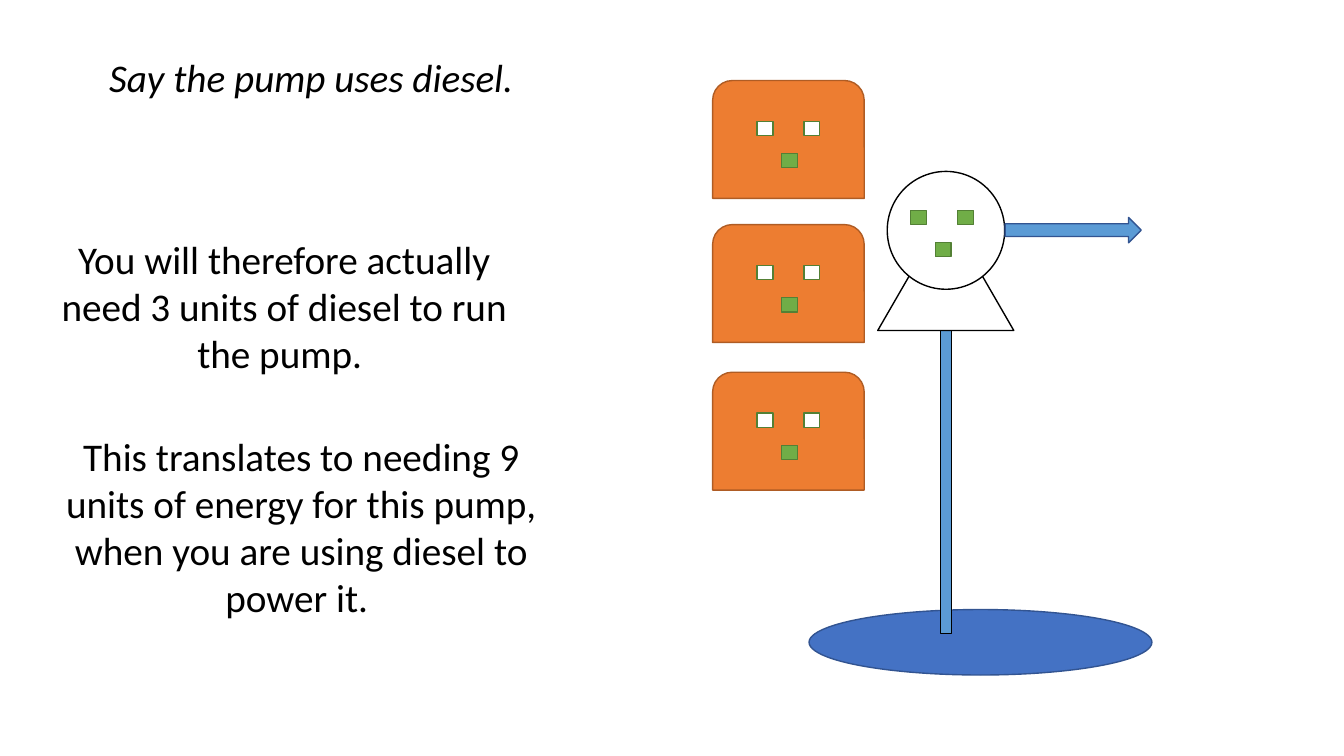
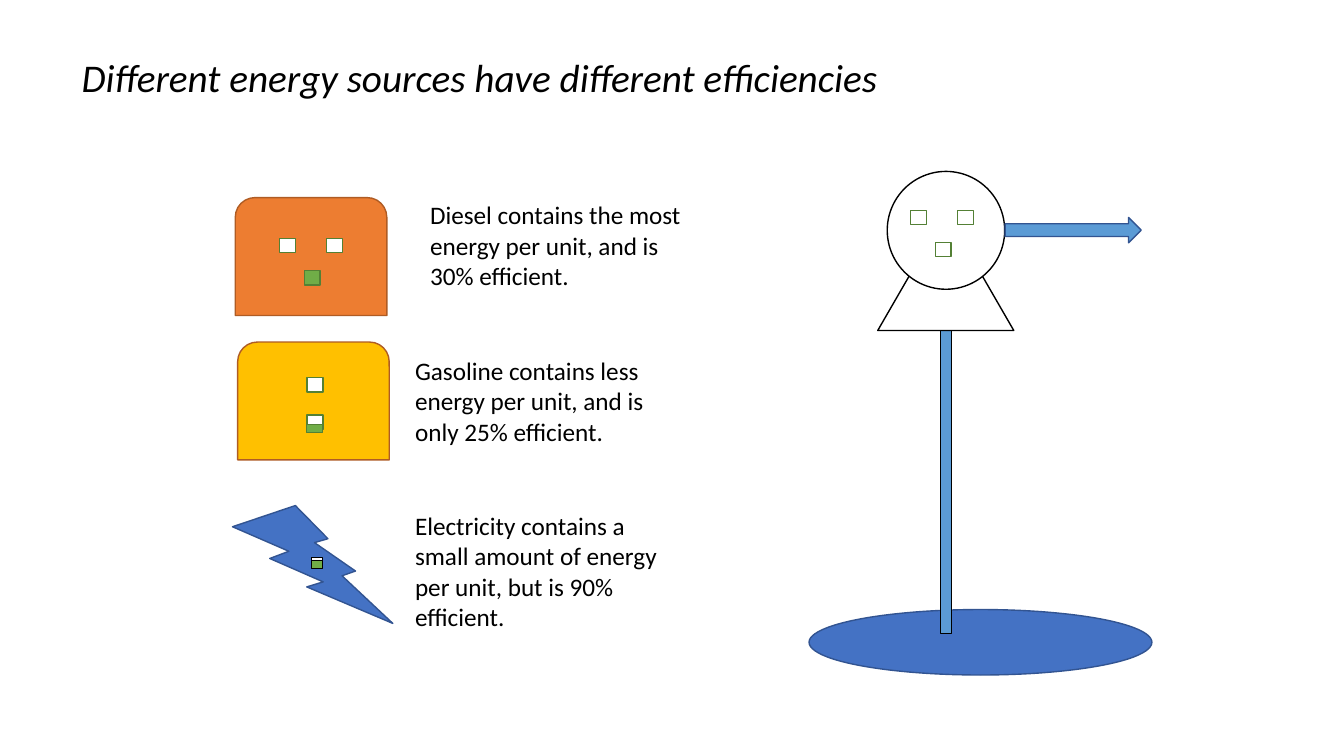
from pptx import Presentation
from pptx.dml.color import RGBColor
from pptx.enum.shapes import MSO_SHAPE
from pptx.enum.text import MSO_AUTO_SIZE, PP_ALIGN
from pptx.util import Cm, Pt

# Palette
BLACK, WHITE = "000000", "FFFFFF"
BLUE, WATER, BLUE_EDGE = "4472C4", "5B9BD5", "325491"
ORANGE, YELLOW, DRUM_EDGE = "ED7D31", "FFC000", "AF5C24"
GREEN, GREEN_EDGE = "70AD47", "538035"

# Text styles
BODY = {"name": "Calibri", "size": Pt(28), "italic": False}
TITLE = {**BODY, "italic": True}
LABEL = {**BODY, "size": Pt(18)}

# Sizes and offsets in cm
DRUM = (3.82, 2.97)
UNIT = (0.4, 0.36)
TRIO = ((0, 0), (1.18, 0), (0.62, 0.81))
DRUM_TRIO = (1.12, 1.03)
PUMP_TRIO = (22.95, 5.3)


def color(hex_code):
    return RGBColor.from_string(hex_code)


class Deck:
    def __init__(self):
        self.presentation = Presentation()
        self.presentation.slide_width = Cm(33.87)
        self.presentation.slide_height = Cm(19.05)
        self.slide = None

    def new_slide(self):
        blank = self.presentation.slide_layouts[6]
        self.slide = self.presentation.slides.add_slide(blank)

    def shape(self, kind, left, top, width, height, fill, edge):
        shape = self.slide.shapes.add_shape(
            kind, Cm(left), Cm(top), Cm(width), Cm(height))
        shape.shadow.inherit = False
        shape.fill.solid()
        shape.fill.fore_color.rgb = color(fill)
        shape.line.color.rgb = color(edge)
        shape.line.width = Pt(1)

    def text(self, words, left, top, width, height, style=BODY, align=PP_ALIGN.CENTER):
        box = self.slide.shapes.add_textbox(Cm(left), Cm(top), Cm(width), Cm(height))
        frame = box.text_frame
        frame.word_wrap = True
        frame.auto_size = MSO_AUTO_SIZE.SHAPE_TO_FIT_TEXT
        paragraph = frame.paragraphs[0]
        paragraph.alignment = align
        run = paragraph.add_run()
        run.text = words
        for attribute, value in style.items():
            setattr(run.font, attribute, value)
        run.font.color.rgb = color(BLACK)

    def title(self, words, width):
        self.text(words, 1.4, 1.22, width, 1.45, TITLE)

    def unit(self, left, top, fill=WHITE, size=UNIT, edge=GREEN_EDGE):
        self.shape(MSO_SHAPE.RECTANGLE, left, top, *size, fill, edge)

    def trio(self, left, top, fills):
        for (dx, dy), fill in zip(TRIO, fills):
            self.unit(left + dx, top + dy, fill)

    def drum(self, left, top, fill):
        self.shape(MSO_SHAPE.ROUND_2_SAME_RECTANGLE, left, top, *DRUM, fill, DRUM_EDGE)

    def diesel(self, left, top):
        self.drum(left, top, ORANGE)
        dx, dy = DRUM_TRIO
        self.trio(left + dx, top + dy, (WHITE, WHITE, GREEN))

    def pump(self, unit_fill):
        self.shape(MSO_SHAPE.OVAL, 20.39, 15.36, 8.64, 1.65, BLUE, BLUE_EDGE)
        self.shape(MSO_SHAPE.RECTANGLE, 23.7, 8.33, 0.28, 7.64, WATER, BLACK)
        self.shape(MSO_SHAPE.ISOSCELES_TRIANGLE, 22.12, 5.36, 3.43, 2.97, WHITE, BLACK)
        self.shape(MSO_SHAPE.OVAL, 22.36, 4.32, 2.96, 2.97, WHITE, BLACK)
        self.shape(MSO_SHAPE.RIGHT_ARROW, 25.33, 5.48, 3.43, 0.64, WATER, BLUE_EDGE)
        self.trio(*PUMP_TRIO, [unit_fill] * 3)


deck = Deck()

# Slide 1: a pump fed by three units of diesel
deck.new_slide()
deck.pump(GREEN)
for drum_top in (2.03, 5.66, 9.38):
    deck.diesel(17.96, drum_top)
deck.title("Say the pump uses diesel.", 12.88)
deck.text("You will therefore actually need 3 units of diesel to run the pump. ",
          0.72, 5.81, 12.88, 3.84)
deck.text("This translates to needing 9 units of energy for this pump, "
          "when you are using diesel to power it. ", 1.15, 10.77, 12.88, 5.05)

# Slide 2: three energy sources compared
deck.new_slide()
deck.pump(WHITE)
deck.title("Different energy sources have different efficiencies", 21.36)
deck.diesel(5.93, 4.98)

# Gasoline
deck.drum(5.99, 8.62, YELLOW)
for unit_top in (9.52, 10.46):
    deck.unit(7.74, unit_top)
deck.unit(7.73, 10.7, GREEN, (0.4, 0.2))

# Electricity
deck.shape(MSO_SHAPE.LIGHTNING_BOLT, 5.86, 12.74, 4.04, 2.97, BLUE, BLUE_EDGE)
deck.unit(7.85, 14.05, WHITE, (0.28, 0.23), BLACK)
deck.unit(7.85, 14.13, GREEN, (0.28, 0.2), BLACK)

# Efficiency of each source
efficiencies = (
    ("Diesel contains the most energy per unit, and is 30% efficient.", 10.59, 4.91, 2.57),
    ("Gasoline contains less energy per unit, and is only 25% efficient.", 10.21, 8.83, 2.57),
    ("Electricity contains a small amount of energy per unit, but is 90% efficient.",
     10.21, 12.74, 3.33),
)
for words, left, top, height in efficiencies:
    deck.text(words, left, top, 6.83, height, LABEL, PP_ALIGN.LEFT)

deck.presentation.save("out.pptx")
